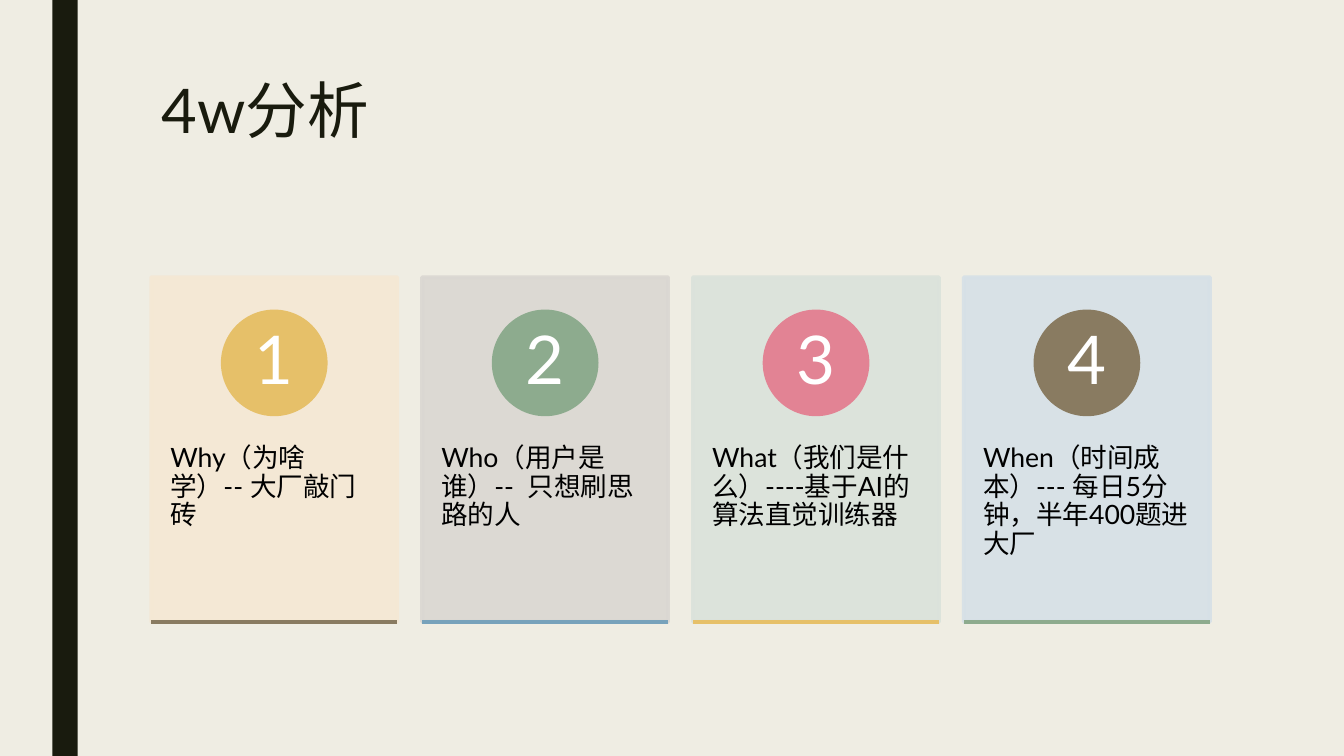
import pptx
import pptx.dml.color
import pptx.enum.shapes
import pptx.enum.text
import pptx.oxml.ns
import pptx.util
from lxml import etree

RGBColor = pptx.dml.color.RGBColor
PP_ALIGN = pptx.enum.text.PP_ALIGN
MSO_ANCHOR = pptx.enum.text.MSO_ANCHOR
MSO_SHAPE = pptx.enum.shapes.MSO_SHAPE

CREAM = RGBColor(0xEF, 0xED, 0xE3)
INK = RGBColor(0x19, 0x1B, 0x0E)
BLACK = RGBColor(0x00, 0x00, 0x00)
WHITE = RGBColor(0xFF, 0xFF, 0xFF)
GOLD = RGBColor(0xE6, 0xC0, 0x69)
GREEN = RGBColor(0x8D, 0xAB, 0x8E)
ROSE = RGBColor(0xE2, 0x83, 0x94)
BROWN = RGBColor(0x89, 0x7B, 0x61)
BLUE = RGBColor(0x77, 0xA2, 0xBB)
PALE_GOLD = RGBColor(0xF5, 0xE8, 0xD4)
PALE_GREY = RGBColor(0xDA, 0xD7, 0xD2)
PALE_GREEN = RGBColor(0xDB, 0xE2, 0xDB)
PALE_BLUE = RGBColor(0xD6, 0xE0, 0xE7)

SLIDE_WIDTH, SLIDE_HEIGHT = 13.33, 7.5
CONTENT_LEFT, CONTENT_WIDTH = 1.5, 10.5
CARD_TOP, CARD_WIDTH, CARD_HEIGHT = 2.75, 2.44, 3.42
BADGE_TOP, BADGE_SIZE, NUMBER_SIZE = 3.09, 1.02, 0.72
ANSWER_TOP, ANSWER_HEIGHT = 4.05, 2.05

# Question and answer, card colour, badge colour, base line colour
QUESTIONS = [
    ("Why（为啥学）-- 大厂敲门砖", PALE_GOLD, GOLD, BROWN),
    ("Who（用户是谁）--  只想刷思路的人", PALE_GREY, GREEN, BLUE),
    ("What（我们是什么）----基于AI的算法直觉训练器", PALE_GREEN, ROSE, GOLD),
    ("When（时间成本）--- 每日5分钟，半年400题进大厂", PALE_BLUE, BROWN, GREEN),
]


class Deck:
    """Holds the presentation, its style and the current slide."""

    font_name = "Lato"
    line_width = pptx.util.Pt(2.75)
    title_format = {"size": pptx.util.Pt(44), "color": INK, "line_spacing": 0.89}
    answer_format = {"size": pptx.util.Pt(19), "color": BLACK,
                     "margins": (0.19, 0.36)}
    number_format = {"size": pptx.util.Pt(48), "color": WHITE,
                     "margins": (0.08, 0.01), "alignment": PP_ALIGN.CENTER,
                     "anchor": MSO_ANCHOR.MIDDLE}

    def __init__(self):
        self.presentation = pptx.Presentation()
        self.presentation.slide_width = pptx.util.Inches(SLIDE_WIDTH)
        self.presentation.slide_height = pptx.util.Inches(SLIDE_HEIGHT)
        title_only = self.presentation.slide_layouts[5]
        self.slide = self.presentation.slides.add_slide(title_only)
        self.slide.background.fill.solid()
        self.slide.background.fill.fore_color.rgb = CREAM

    def column_left(self, column):
        pitch = (CONTENT_WIDTH - CARD_WIDTH) / (len(QUESTIONS) - 1)
        return CONTENT_LEFT + column * pitch

    def fill_text(self, frame, text, size, color, margins=(0.1, 0.05),
                  line_spacing=0.9, alignment=PP_ALIGN.LEFT,
                  anchor=MSO_ANCHOR.TOP):
        """Margins are (left and right, top and bottom) in inches."""
        side, end = (pptx.util.Inches(margin) for margin in margins)
        paragraph = frame.paragraphs[0]
        run = paragraph.add_run()
        run.text = text
        run.font.color.rgb = color
        formats = [
            (frame, {"word_wrap": True, "vertical_anchor": anchor,
                     "auto_size": pptx.enum.text.MSO_AUTO_SIZE.NONE,
                     "margin_left": side, "margin_right": side,
                     "margin_top": end, "margin_bottom": end}),
            (paragraph, {"line_spacing": line_spacing, "alignment": alignment}),
            (run.font, {"name": self.font_name, "size": size}),
        ]
        for target, values in formats:
            for name, value in values.items():
                setattr(target, name, value)

    def title(self, text, *box):
        title = self.slide.shapes.title
        edges = ("left", "top", "width", "height")
        for edge, length in zip(edges, box):
            setattr(title, edge, pptx.util.Inches(length))
        self.fill_text(title.text_frame, text, **self.title_format)

    def text(self, text, text_format, *box):
        textbox = self.slide.shapes.add_textbox(*map(pptx.util.Inches, box))
        self.fill_text(textbox.text_frame, text, **text_format)

    def shape(self, preset, color, *box, outlined=True, opacity=100):
        shape = self.slide.shapes.add_shape(preset, *map(pptx.util.Inches, box))
        shape.shadow.inherit = False
        shape.fill.solid()
        shape.fill.fore_color.rgb = color
        if outlined:
            shape.line.color.rgb = color
            shape.line.width = self.line_width
        else:
            shape.line.fill.background()
        if opacity < 100:
            tag = pptx.oxml.ns.qn("a:srgbClr")
            for paint in shape._element.spPr.iter(tag):
                alpha = etree.SubElement(paint, pptx.oxml.ns.qn("a:alpha"))
                alpha.set("val", str(opacity * 1000))

    def base_line(self, color, left, top, width):
        ends = map(pptx.util.Inches, (left, top, left + width, top))
        line = self.slide.shapes.add_connector(
            pptx.enum.shapes.MSO_CONNECTOR.STRAIGHT, *ends)
        line.line.color.rgb = color
        line.line.width = self.line_width
        etree.SubElement(line._element.spPr, pptx.oxml.ns.qn("a:effectLst"))

    def card(self, column, answer, card_color, badge_color, base_color):
        left = self.column_left(column)
        center = left + CARD_WIDTH / 2
        number_top = BADGE_TOP + (BADGE_SIZE - NUMBER_SIZE) / 2
        self.shape(MSO_SHAPE.RECTANGLE, card_color,
                   left, CARD_TOP, CARD_WIDTH, CARD_HEIGHT, opacity=90)
        self.text(answer, self.answer_format,
                  left, ANSWER_TOP, CARD_WIDTH, ANSWER_HEIGHT)
        self.shape(MSO_SHAPE.OVAL, badge_color, center - BADGE_SIZE / 2,
                   BADGE_TOP, BADGE_SIZE, BADGE_SIZE)
        self.text(str(column + 1), self.number_format, center - NUMBER_SIZE / 2,
                  number_top, NUMBER_SIZE, NUMBER_SIZE)
        self.base_line(base_color, left, CARD_TOP + CARD_HEIGHT, CARD_WIDTH)


def main():
    deck = Deck()
    deck.shape(MSO_SHAPE.RECTANGLE, INK, 0.52, 0, 0.25, SLIDE_HEIGHT,
               outlined=False)
    deck.title("4w分析", CONTENT_LEFT, 0.75, CONTENT_WIDTH, 1.62)
    for column, question in enumerate(QUESTIONS):
        deck.card(column, *question)
    deck.presentation.save("out.pptx")


if __name__ == "__main__":
    main()
